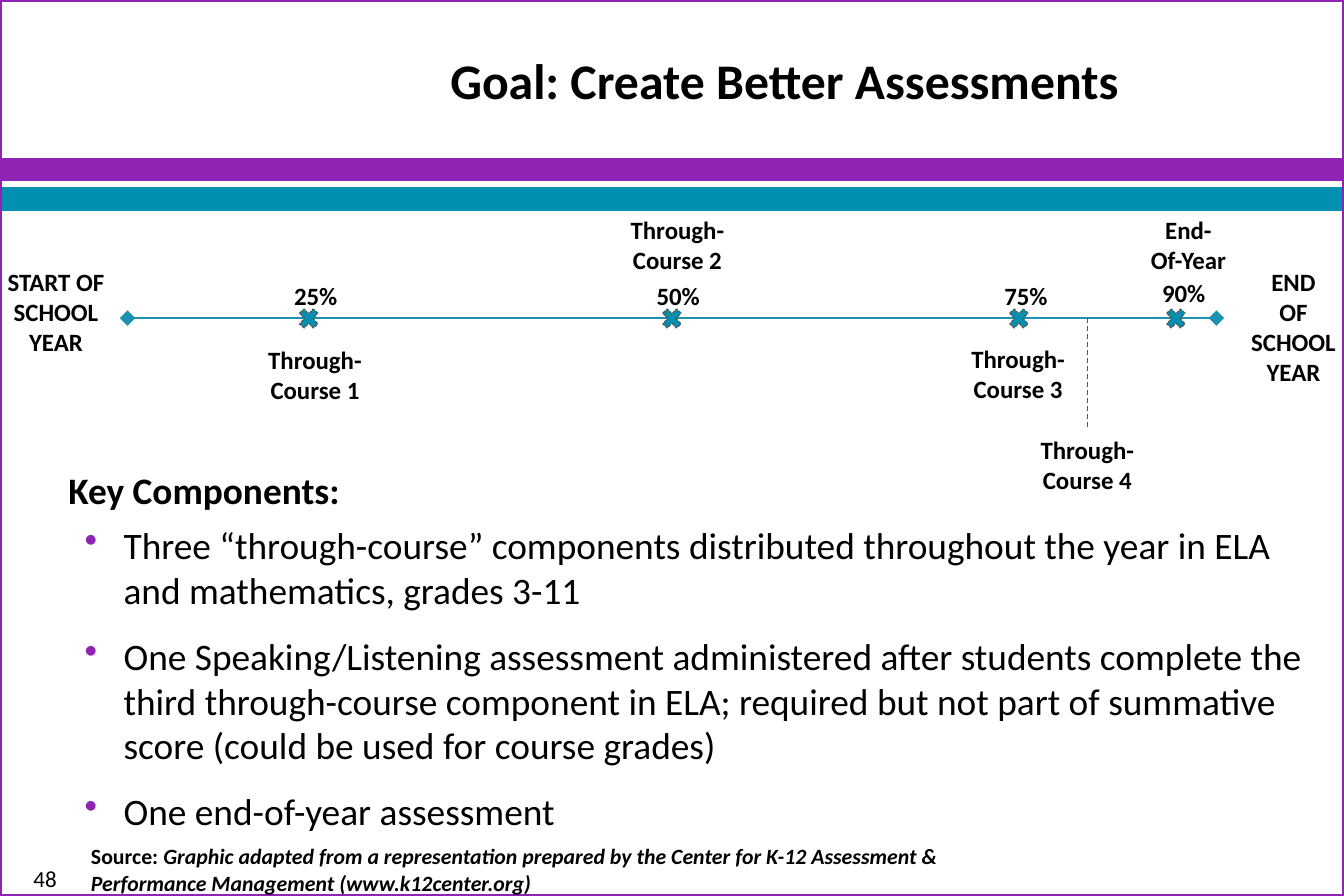
"""Build the assessment timeline slide with its key components."""
from dataclasses import dataclass

from lxml import etree
from pptx import Presentation
from pptx.dml.color import RGBColor
from pptx.enum.dml import MSO_LINE
from pptx.enum.shapes import MSO_CONNECTOR, MSO_SHAPE
from pptx.enum.text import MSO_ANCHOR, PP_ALIGN
from pptx.oxml.ns import qn
from pptx.util import Pt

RECT, CROSS = MSO_SHAPE.RECTANGLE, MSO_SHAPE.MATH_MULTIPLY
STRAIGHT = MSO_CONNECTOR.STRAIGHT
DASH, SYS_DASH = MSO_LINE.DASH, MSO_LINE.SQUARE_DOT
LEFT, CENTER = PP_ALIGN.LEFT, PP_ALIGN.CENTER
TOP, MIDDLE = MSO_ANCHOR.TOP, MSO_ANCHOR.MIDDLE


@dataclass(frozen=True)
class Theme:
    font: str = "Calibri"
    purple: RGBColor = RGBColor(0x8F, 0x23, 0xB3)
    teal: RGBColor = RGBColor(0x00, 0x91, 0xB2)
    axis: RGBColor = RGBColor(0x1D, 0x91, 0xB1)
    grey: RGBColor = RGBColor(0x58, 0x58, 0x58)
    black: RGBColor = RGBColor(0, 0, 0)
    title: float = 32
    body: float = 24
    label: float = 16
    source: float = 14
    number: float = 14.8


theme = Theme()
WIDTH, HEIGHT = 864, 576
AXIS_Y = 204.5
WIDE, TIGHT, NONE = (8, 4), (7.2, 3.6), (0, 0)


def add_text(box, paragraphs, size, align=LEFT, anchor=TOP, inset=WIDE):
    """Add a text box; each paragraph is a list of (text, font format) runs."""
    tf = s.shapes.add_textbox(*map(Pt, box)).text_frame
    tf.word_wrap = True
    tf.vertical_anchor = anchor
    tf.margin_left = tf.margin_right = Pt(inset[0])
    tf.margin_top = tf.margin_bottom = Pt(inset[1])
    for i, runs in enumerate(paragraphs):
        p = tf.paragraphs[0] if i == 0 else tf.add_paragraph()
        p.alignment = align
        for text, formats in runs:
            r = p.add_run()
            r.text = text
            base = {"name": theme.font, "size": Pt(size), "bold": True}
            for name, value in {**base, **formats}.items():
                setattr(r.font, name, value)
            r.font.color.rgb = theme.black
    return tf


def add_line(start, end, color, width):
    """Add a straight line without a shadow and return it."""
    sp = s.shapes.add_connector(STRAIGHT, *map(Pt, start + end))
    sp.line.color.rgb = color
    sp.line.width = Pt(width)
    etree.SubElement(sp._element.spPr, qn("a:effectLst"))
    return sp


prs = Presentation()
prs.slide_width, prs.slide_height = Pt(WIDTH), Pt(HEIGHT)
s = prs.slides.add_slide(prs.slide_layouts[6])

for top, height, fill, line, width in [
    (102.5, 13, theme.purple, theme.purple, 2),
    (121.5, 13, theme.teal, theme.teal, 2),
    (0, HEIGHT, None, theme.purple, 2.25),
]:
    sp = s.shapes.add_shape(RECT, 0, Pt(top), Pt(WIDTH), Pt(height))
    sp.shadow.inherit = False
    if fill is None:
        sp.fill.background()
    else:
        sp.fill.solid()
        sp.fill.fore_color.rgb = fill
    sp.line.color.rgb = line
    sp.line.width = Pt(width)

add_text((0, 551.5, 58, 24.5), [[("48", {"bold": False})]], theme.number, CENTER)
tf = add_text((266.5, 0, 597.5, 102), [[("Goal: Create Better Assessments", {})]],
              theme.title, anchor=MIDDLE)
tf.paragraphs[0]._p.get_or_add_pPr().set("marL", str(Pt(15)))
add_text((50.5, 538, 576, 26), [[
    ("Source: ", {}),
    ("Graphic adapted from a representation prepared by the Center for K-12 "
     "Assessment & Performance Management (www.k12center.org)", {"italic": True}),
]], theme.source)

axis = add_line((82, AXIS_Y), (782, AXIS_Y), theme.axis, 1.5)
for end in ("a:headEnd", "a:tailEnd"):
    etree.SubElement(axis.line._get_or_add_ln(), qn(end), type="diamond", w="lg", len="lg")
add_line((699, AXIS_Y), (699, 276), theme.grey, 0.75).line.dash_style = DASH

for center, top, width, lines in [
    (36, 168, 86, ["START OF SCHOOL YEAR"]),
    (831.5, 168, 79, ["END", "OF", "SCHOOL YEAR"]),
    (202.5, 218, 114, ["Through-Course 1"]),
    (435.5, 134.5, 114, ["Through-Course 2"]),
    (654.5, 217.5, 114, ["Through-Course 3"]),
    (699, 276, 114, ["Through-Course 4"]),
    (764, 134.5, 114, ["End-", "Of-Year"]),
]:
    add_text((center - width / 2, top, width, 46), [[(line, {})] for line in lines],
             theme.label, CENTER, inset=TIGHT)

for label, center, label_center, top in [
    ("25%", 198.5, 203, 180.5),
    ("50%", 432, 436, 180.5),
    ("75%", 655, 659.5, 180.5),
    ("90%", 756, 761, 178.5),
]:
    add_text((label_center - 22, top, 44, 19.5), [[(label, {})]],
             theme.label, CENTER, inset=NONE)
    sp = s.shapes.add_shape(CROSS, Pt(center - 8.5), Pt(AXIS_Y - 9), Pt(17), Pt(18.5))
    sp.shadow.inherit = False
    sp.fill.solid()
    sp.fill.fore_color.rgb = theme.teal
    sp.line.color.rgb = theme.grey
    sp.line.width = Pt(0.75)
    sp.line.dash_style = SYS_DASH

components = [
    "Three “through-course” components distributed throughout the year in ELA "
    "and mathematics, grades 3-11",
    "One Speaking/Listening assessment administered after students complete the "
    "third through-course component in ELA; required but not part of summative "
    "score (could be used for course grades)",
    "One end-of-year assessment",
]
tf = add_text((36, 296.5, 812, 246),
              [[("Key Components:", {})]] + [[(c, {"bold": False})] for c in components],
              theme.body)
for p in tf.paragraphs[1:]:
    p.space_before = p.space_after = Pt(6.7)
    pPr = p._p.get_or_add_pPr()
    pPr.set("marL", str(Pt(35.5)))
    pPr.set("indent", str(Pt(-25)))
    color = etree.SubElement(pPr, qn("a:buClr"))
    etree.SubElement(color, qn("a:srgbClr"), val=str(theme.purple))
    etree.SubElement(pPr, qn("a:buChar"), char="•")

prs.save("out.pptx")
